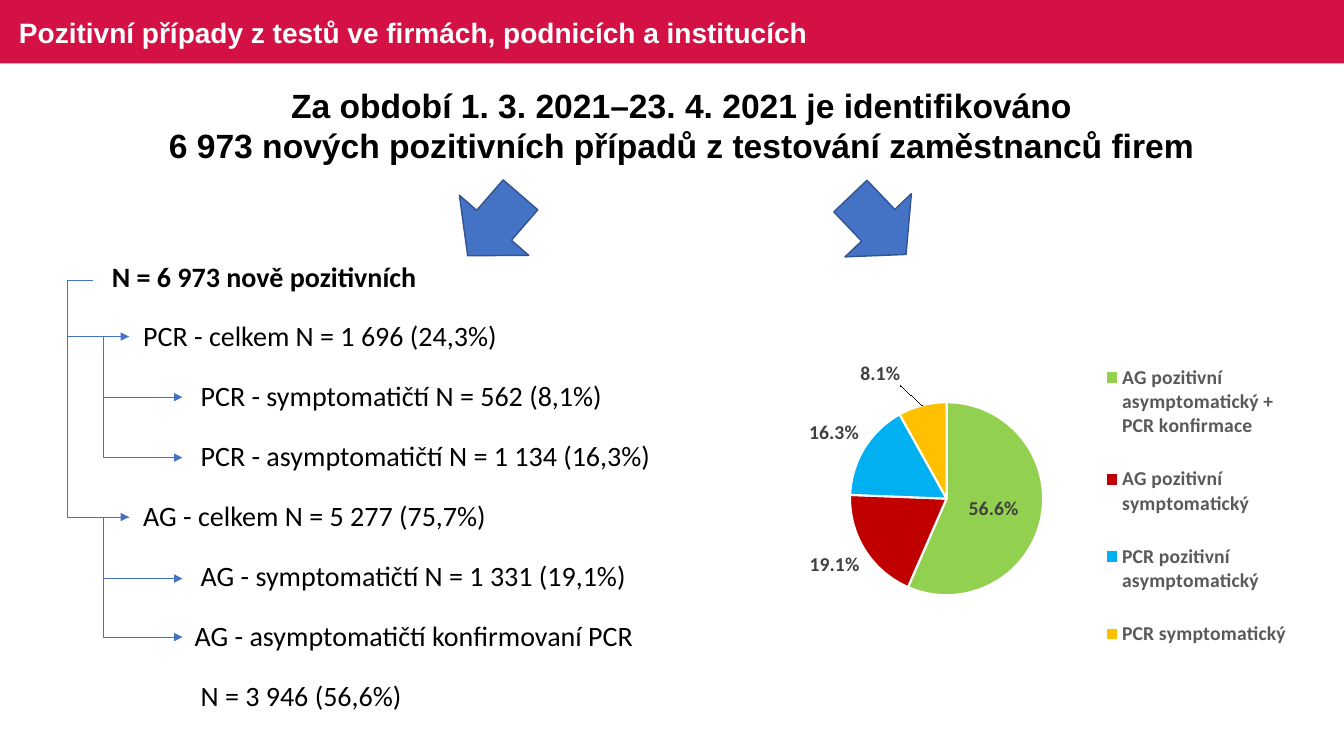
import pptx
import pptx.chart.data
import pptx.dml.color
import pptx.enum.chart
import pptx.enum.shapes
import pptx.enum.text
import pptx.oxml
import pptx.oxml.ns
import pptx.util
from pptx.util import Inches

HEX = {
    "red": "D31145", "white": "FFFFFF", "black": "000000",
    "blue": "4472C4", "edge": "325491", "grey": "595959", "dark": "404040",
}
SHAPE = pptx.enum.shapes.MSO_SHAPE
LABEL = pptx.enum.chart.XL_LABEL_POSITION
MIDDLE = pptx.enum.text.MSO_ANCHOR.MIDDLE
NS = pptx.oxml.ns.nsdecls


def rgb(code):
    return pptx.dml.color.RGBColor.from_string(code)


def style(font, size, color, bold=True, name="Calibri"):
    form = {"size": pptx.util.Pt(size), "bold": bold, "name": name}
    for key, value in form.items():
        setattr(font, key, value)
    font.color.rgb = rgb(HEX[color])


deck = pptx.Presentation()
deck.slide_width, deck.slide_height = Inches(13.33), Inches(7.5)
slide = deck.slides.add_slide(deck.slide_layouts[6])
shapes = slide.shapes

# Title bar
bar = shapes.add_shape(SHAPE.RECTANGLE, 0, 0, deck.slide_width, Inches(0.63))
bar.shadow.inherit = False
bar.fill.solid()
bar.fill.fore_color.rgb = rgb(HEX["red"])
bar.line.fill.background()

title = shapes.add_textbox(Inches(0.09), Inches(0.03), Inches(9), Inches(0.63))
frame = title.text_frame
frame.word_wrap = True
frame.vertical_anchor = MIDDLE
frame.text = "Pozitivní případy z testů ve firmách, podnicích a institucích"
frame.paragraphs[0].line_spacing = 0.9
style(frame.paragraphs[0].font, 20, "white", name="Arial")

# Breakdown table: text and indent of each row
ROWS = [
    ("N = 6 973 nově pozitivních", 0),
    ("PCR - celkem N = 1 696 (24,3%)", 0.31),
    ("PCR - symptomatičtí N = 562 (8,1%)", 0.88),
    ("PCR - asymptomatičtí N = 1 134 (16,3%)", 0.88),
    ("AG - celkem N = 5 277 (75,7%)", 0.31),
    ("AG - symptomatičtí N = 1 331 (19,1%)", 0.88),
    ("AG - asymptomatičtí konfirmovaní PCR", 0.82),
    ("N = 3 946 (56,6%)", 0.88),
]
table = shapes.add_table(len(ROWS), 1, Inches(1.1), Inches(2.45),
                         Inches(6.01), Inches(4.76)).table
table.first_row = table.horz_banding = False
for row, (text, indent) in enumerate(ROWS):
    cell = table.cell(row, 0)
    cell.fill.background()
    cell.text = text
    form = {
        "margin_left": Inches(0.01 + indent), "margin_right": Inches(0.01),
        "margin_top": Inches(0.01), "margin_bottom": 0,
        "vertical_anchor": MIDDLE,
    }
    for key, value in form.items():
        setattr(cell, key, value)
    style(cell.text_frame.paragraphs[0].font, 20, "black", bold=row == 0)

# Headline
head = shapes.add_textbox(Inches(1.48), Inches(0.79), Inches(10.56), Inches(0.91))
frame = head.text_frame
frame.word_wrap = False
frame.text = ("Za období 1. 3. 2021–23. 4. 2021 je identifikováno\n"
              "6 973 nových pozitivních případů z testování zaměstnanců firem")
for para in frame.paragraphs:
    para.alignment = pptx.enum.text.PP_ALIGN.CENTER
    style(para.font, 24, "black", name="Arial")

# Tree of elbow arrows, each bending 0.25 inch left of its start
LINKS = [
    (0.92, 2.78, 1.28, 5.13), (1.28, 3.34, 1.81, 3.94),
    (1.28, 3.34, 1.81, 4.54), (1.28, 5.13, 1.81, 5.74),
    (1.28, 5.13, 1.81, 6.32), (0.92, 2.78, 1.28, 3.34),
]
for link in LINKS:
    elbow = shapes.add_connector(pptx.enum.shapes.MSO_CONNECTOR.ELBOW,
                                 *[Inches(n) for n in link])
    elbow.line.width = pptx.util.Pt(0.5)
    elbow.line.color.rgb = rgb(HEX["blue"])
    bend = round(-0.25 / (link[2] - link[0]) * 100000)
    props = elbow._element.spPr
    geom = props.find(pptx.oxml.ns.qn("a:prstGeom"))
    for old in list(geom):
        geom.remove(old)
    geom.append(pptx.oxml.parse_xml(
        f'<a:avLst {NS("a")}><a:gd name="adj1" fmla="val {bend}"/></a:avLst>'))
    props.find(pptx.oxml.ns.qn("a:ln")).append(
        pptx.oxml.parse_xml(f'<a:tailEnd {NS("a")} type="triangle"/>'))
    props.append(pptx.oxml.parse_xml(f'<a:effectLst {NS("a")}/>'))

# Pie chart
SLICES = [
    ("AG pozitivní asymptomatický + PCR konfirmace", 0.566, "92D050"),
    ("AG pozitivní symptomatický", 0.191, "C00000"),
    ("PCR pozitivní asymptomatický", 0.163, "00B0F0"),
    ("PCR symptomatický", 0.081, "FFC000"),
]
data = pptx.chart.data.CategoryChartData(number_format="0.0%")
data.categories = [part[0] for part in SLICES]
data.add_series("Series 1", [part[1] for part in SLICES])
chart = shapes.add_chart(pptx.enum.chart.XL_CHART_TYPE.PIE, Inches(7.82),
                         Inches(2.45), Inches(5.06), Inches(4.67), data).chart
chart.has_title = False
style(chart.font, 14, "black")
chart.has_legend = True
chart.legend.position = pptx.enum.chart.XL_LEGEND_POSITION.RIGHT
chart.legend.include_in_layout = False
style(chart.legend.font, 14, "grey")

plot = chart.plots[0]
plot.vary_by_categories = True
pie = plot.series[0]
labels = pie.data_labels
form = {"show_value": True, "number_format": "0.0%",
        "number_format_is_linked": False, "position": LABEL.OUTSIDE_END}
for key, value in form.items():
    setattr(labels, key, value)
style(labels.font, 14, "dark")
for spot, part in enumerate(SLICES):
    point = pie.points[spot]
    point.format.fill.solid()
    point.format.fill.fore_color.rgb = rgb(part[2])
    point.format.line.color.rgb = rgb(HEX["white"])
    point.format.line.width = pptx.util.Pt(1.5)
for spot, place in ((0, LABEL.CENTER), (3, LABEL.OUTSIDE_END)):
    label = pie.points[spot].data_label
    style(label.font, 14, "dark")
    label.position = place

# Fixed places of plot, legend and the raised last label, as chart fractions
area = chart._chartSpace.chart.plotArea
last = pie._element.xpath("c:dLbls/c:dLbl[c:idx/@val='3']")[0]
key = chart.legend._element
PLACES = [
    (area, 0, {"layoutTarget": "inner", "xMode": "edge", "yMode": "edge",
               "x": 0.12, "y": 0.33, "w": 0.38, "h": 0.41}),
    (key, 1, {"xMode": "edge", "yMode": "edge",
              "x": 0.64, "y": 0.19, "w": 0.36, "h": 0.72}),
    (last, 1, {"x": -0.04, "y": -0.03}),
]
for host, spot, form in PLACES:
    for old in host.xpath("c:layout"):
        host.remove(old)
    items = "".join(f'<c:{tag} val="{val}"/>' for tag, val in form.items())
    host.insert(spot, pptx.oxml.parse_xml(
        f'<c:layout {NS("c")}><c:manualLayout>{items}</c:manualLayout></c:layout>'))

# Block arrows
for left, turn in ((8.31, 46.4), (4.5, 130.9)):
    arrow = shapes.add_shape(SHAPE.RIGHT_ARROW, Inches(left), Inches(1.78),
                             Inches(0.8), Inches(0.91))
    arrow.rotation = turn
    arrow.shadow.inherit = False
    arrow.fill.solid()
    arrow.fill.fore_color.rgb = rgb(HEX["blue"])
    arrow.line.color.rgb = rgb(HEX["edge"])
    arrow.line.width = pptx.util.Pt(1)

deck.save("out.pptx")
